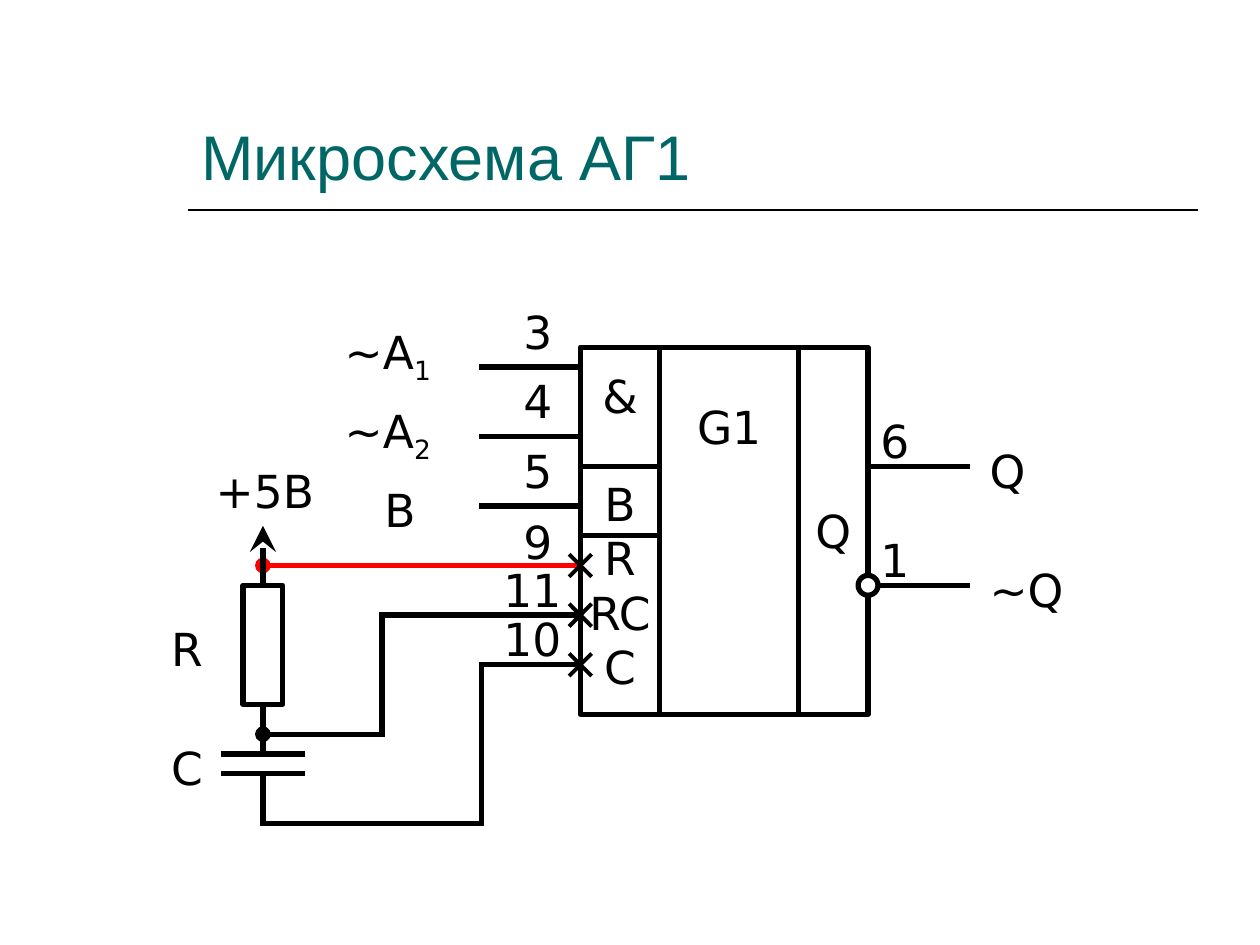
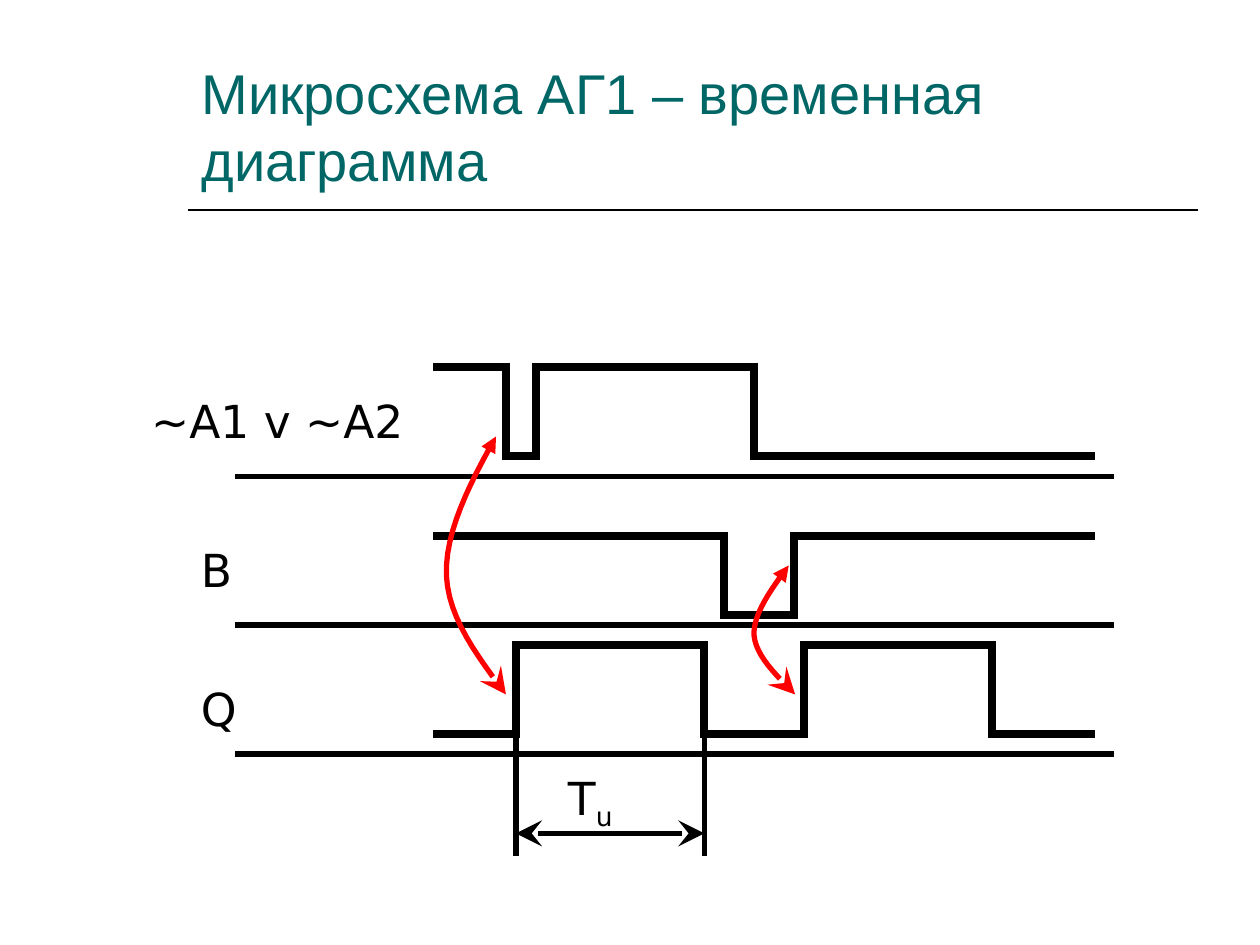
from lxml.etree import SubElement
from pptx import Presentation
from pptx.dml.color import RGBColor
from pptx.enum.shapes import MSO_CONNECTOR, MSO_SHAPE
from pptx.enum.text import MSO_ANCHOR, PP_ALIGN
from pptx.oxml.ns import qn
from pptx.util import Cm, Pt

TEAL = RGBColor(0x00, 0x66, 0x66)
BLACK = RGBColor(0x00, 0x00, 0x00)
WHITE = RGBColor(0xFF, 0xFF, 0xFF)
RED = RGBColor(0xFF, 0x00, 0x00)


def draw(slide, points, width=3, color=BLACK, head=None, tail=None, curved=False):
    """Join points (cm) by straight connectors or by one smooth outline."""
    if curved:
        outline = slide.shapes.build_freeform(Cm(points[0][0]), Cm(points[0][1]))
        outline.add_line_segments([(Cm(x), Cm(y)) for x, y in points[1:]], close=False)
        parts = [outline.convert_to_shape()]
        parts[0].fill.background()
        parts[0].shadow.inherit = False
    else:
        parts = [slide.shapes.add_connector(MSO_CONNECTOR.STRAIGHT,
                                            Cm(x1), Cm(y1), Cm(x2), Cm(y2))
                 for (x1, y1), (x2, y2) in zip(points, points[1:])]
    for part in parts:
        part.line.color.rgb = color
        part.line.width = Pt(width)
        ln = part.line._get_or_add_ln()
        ln.set("cap", "sq")
        for tag, kind, wanted in (("a:headEnd", head, part is parts[0]),
                                  ("a:tailEnd", tail, part is parts[-1])):
            if kind and wanted:
                size = "lg" if kind == "stealth" else "med"
                SubElement(ln, qn(tag), type=kind, w=size, len=size)
        if not curved:
            SubElement(part._element.spPr, qn("a:effectLst"))


def write(slide, text, x, y, w, h=1.37, size=26, font="DejaVu Sans",
          color=BLACK, anchor=MSO_ANCHOR.TOP):
    """Write text in a box (cm); what follows "_" becomes a subscript."""
    frame = slide.shapes.add_textbox(Cm(x), Cm(y), Cm(w), Cm(h)).text_frame
    frame.word_wrap = True
    frame.vertical_anchor = anchor
    paragraph = frame.paragraphs[0]
    paragraph.font.size = Pt(size)
    paragraph.font.name = font
    paragraph.font.color.rgb = color
    base, _, subscript = text.partition("_")
    paragraph.add_run().text = base
    if subscript:
        lowered = paragraph.add_run()
        lowered.text = subscript
        lowered._r.get_or_add_rPr().set("baseline", "-25000")


prs = Presentation()
prs.slide_width, prs.slide_height = Cm(25.4), Cm(19.05)

# Slides with title and rule
slides = []
for title, size in (("Микросхема АГ1", 36),
                    ("Микросхема АГ1 – временная диаграмма", 32)):
    slide = prs.slides.add_slide(prs.slide_layouts[6])
    draw(slide, [(3.81, 4.23), (24.13, 4.23)], width=1)
    write(slide, title, 3.81, 0.84, 20.32, 3.18, size, "Arial", TEAL, MSO_ANCHOR.BOTTOM)
    slides.append(slide)
circuit, timing = slides

# Chip: input, output and function fields
CHIP_LEFT, CHIP_RIGHT, CHIP_TOP, CHIP_HEIGHT = 11.7, 17.5, 7, 7.4
for x, w, captions in ((CHIP_LEFT, 1.6, ["&", "B", "R", "RC", "C"]),
                       (16.1, 1.4, ["Q"]),
                       (13.3, 2.8, ["G1"])):
    field = circuit.shapes.add_shape(MSO_SHAPE.RECTANGLE, Cm(x), Cm(CHIP_TOP),
                                     Cm(w), Cm(CHIP_HEIGHT))
    field.shadow.inherit = False
    field.fill.solid()
    field.fill.fore_color.rgb = WHITE
    field.line.color.rgb = BLACK
    field.line.width = Pt(3)
    frame = field.text_frame
    frame.word_wrap = False
    frame.vertical_anchor = MSO_ANCHOR.MIDDLE
    if captions == ["G1"]:
        frame.vertical_anchor = MSO_ANCHOR.TOP
        frame.margin_top = Cm(1.04)
    frame.text = "\n".join(captions)
    for paragraph in frame.paragraphs:
        paragraph.alignment = PP_ALIGN.CENTER
        paragraph.font.size = Pt(26)
        paragraph.font.name = "DejaVu Sans"
        paragraph.font.color.rgb = BLACK
    if len(captions) > 1:
        frame.paragraphs[1].space_before = Pt(30.5)
for divider_y in (9.4, 10.8):
    draw(circuit, [(CHIP_LEFT, divider_y), (13.3, divider_y)])

# Pins: straight leads
for pin_y in (7.4, 8.8, 10.2):
    draw(circuit, [(9.7, pin_y), (CHIP_LEFT, pin_y)])
for pin_y in (9.4, 11.8):
    draw(circuit, [(CHIP_RIGHT, pin_y), (19.5, pin_y)])

# Timing circuit wires
RC_X = 5.3
draw(circuit, [(CHIP_LEFT, 11.4), (RC_X, 11.4)], color=RED, tail="oval")
draw(circuit, [(CHIP_LEFT, 12.4), (7.7, 12.4), (7.7, 14.8), (RC_X, 14.8)], tail="oval")
draw(circuit, [(CHIP_LEFT, 13.4), (9.7, 13.4), (9.7, 16.6), (RC_X, 16.6), (RC_X, 15.6)])
draw(circuit, [(RC_X, 10.6), (RC_X, 11.8)], head="stealth")
draw(circuit, [(RC_X, 14.2), (RC_X, 15.2)])
for plate_y in (15.2, 15.6):
    draw(circuit, [(4.5, plate_y), (6.1, plate_y)])

# Crosses on the analogue pins
for pin_y in (11.4, 12.4, 13.4):
    for slope in (-0.2, 0.2):
        draw(circuit, [(CHIP_LEFT - 0.2, pin_y - slope),
                       (CHIP_LEFT + 0.2, pin_y + slope)], width=2.25)

# Resistor and inversion circle
for kind, x, y, w, h in ((MSO_SHAPE.RECTANGLE, 4.9, 11.8, 0.8, 2.4),
                         (MSO_SHAPE.OVAL, 17.3, 11.6, 0.4, 0.4)):
    body = circuit.shapes.add_shape(kind, Cm(x), Cm(y), Cm(w), Cm(h))
    body.shadow.inherit = False
    body.fill.solid()
    body.fill.fore_color.rgb = WHITE
    body.line.color.rgb = BLACK
    body.line.width = Pt(3)

# Signal names and pin numbers
for text, x, y, w in (("~A_1", 6.7, 6.4, 2.4), ("~A_2", 6.7, 8, 2.4), ("B", 7.5, 9.6, 1.4),
                      ("+5В", 4.1, 9.2, 3.4), ("R", 3.2, 12.4, 1.4), ("С", 3.2, 14.8, 1.4),
                      ("Q", 19.7, 8.8, 1.4), ("~Q", 19.7, 11.2, 2),
                      ("3", 10.3, 6, 1.4), ("4", 10.3, 7.4, 1.4), ("5", 10.3, 8.8, 1.4),
                      ("9", 10.3, 10.24, 1.4), ("11", 9.9, 11.2, 1.8), ("10", 9.9, 12.2, 1.8),
                      ("6", CHIP_RIGHT, 8.2, 1.4), ("1", CHIP_RIGHT, 10.6, 1.4)):
    write(circuit, text, x, y, w)

# Time axes
for axis_y in (9.6, 12.6, 15.2):
    draw(timing, [(4.8, axis_y), (22.4, axis_y)])

# Signals: the level switches at every edge
SIGNAL_START, SIGNAL_END = 8.8, 22
for level, other, edges in ((7.4, 9.2, [10.2, 10.8, 15.2]),
                            (10.8, 12.4, [14.6, 16]),
                            (14.8, 13, [10.4, 14.2, 16.2, 20])):
    steps = [(SIGNAL_START, level)]
    for edge in edges:
        steps += [(edge, level), (edge, other)]
        level, other = other, level
    draw(timing, steps + [(SIGNAL_END, level)], width=4.5)

# Pulse duration
for edge in (10.4, 14.2):
    draw(timing, [(edge, 14.8), (edge, 17.2)])
draw(timing, [(10.4, 16.8), (14.2, 16.8)], head="stealth", tail="stealth")

for text, x, y, w in (("~A1 v ~A2", 2.8, 7.8, 7), ("B", 3.8, 10.8, 2),
                      ("Q", 3.8, 13.6, 2), ("T_u", 11.2, 15.4, 2)):
    write(timing, text, x, y, w)

# Cause arrows: two cubic curves each, sampled evenly
SAMPLES = 12
for controls in ([(10, 8.8), (9.47, 9.75), (8.97, 10.72), (9, 11.6),
                  (9.04, 12.47), (9.63, 13.23), (10.2, 14)],
                 [(15.9, 11.4), (15.54, 11.89), (15.19, 12.37), (15.2, 12.8),
                  (15.24, 13.23), (15.65, 13.61), (16.03, 14)]):
    bend = [controls[0]]
    for first in (0, 3):
        for step in range(1, SAMPLES + 1):
            t = step / SAMPLES
            weights = ((1 - t) ** 3, 3 * t * (1 - t) ** 2, 3 * t * t * (1 - t), t ** 3)
            bend.append(tuple(sum(k * c[axis] for k, c in zip(weights, controls[first:]))
                              for axis in (0, 1)))
    draw(timing, bend, color=RED, head="triangle", tail="stealth", curved=True)

prs.save("out.pptx")
